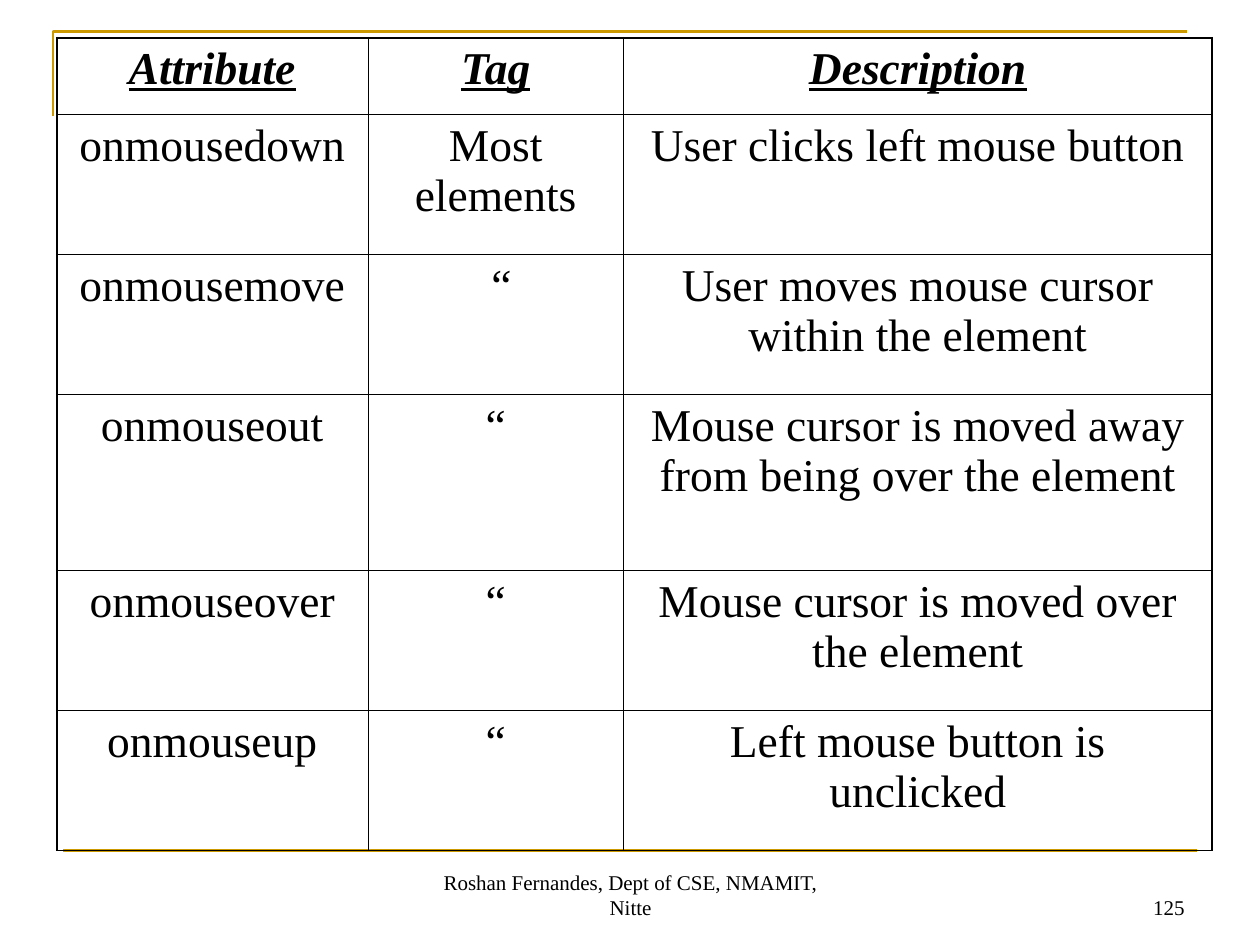
import lxml.etree
import pptx
import pptx.dml.color
import pptx.enum.shapes
import pptx.enum.text
import pptx.oxml.ns
import pptx.util

Inches = pptx.util.Inches
Pt = pptx.util.Pt
ALIGN = pptx.enum.text.PP_ALIGN
COLORS = {"ink": "000000", "accent": "CC9900"}
OUTER, INNER = 1.08, 0.45
EVENTS = [
    ("Attribute", "Tag", "Description"),
    ("onmousedown", "Most elements", "User clicks left mouse button"),
    ("onmousemove", " “", "User moves mouse cursor within the element"),
    ("onmouseout", "“", "Mouse cursor is moved away from being over the element"),
    ("onmouseover", "“", "Mouse cursor is moved over the element"),
    ("onmouseup", "“", "Left mouse button is unclicked"),
]


class SlideBuilder:
    """Hold the style and the current slide, and add its elements."""

    def __init__(self, slide, font="Times New Roman"):
        self.slide = slide
        self.font = font

    def color(self, name):
        return pptx.dml.color.RGBColor.from_string(COLORS[name])

    def add_text(self, paragraph, text, size, align, heading=False):
        paragraph.alignment = align
        run = paragraph.add_run()
        run.text = text
        run.font.name = self.font
        run.font.size = Pt(size)
        run.font.color.rgb = self.color("ink")
        run.font.bold = run.font.italic = run.font.underline = heading

    def stroke(self, line):
        line.color.rgb = self.color("accent")
        line.width = Pt(1.5)

    def corner(self, left, top, right, bottom):
        builder = self.slide.shapes.build_freeform(Inches(left), Inches(bottom))
        points = [(Inches(left), Inches(top)), (Inches(right), Inches(top))]
        builder.add_line_segments(points, close=False)
        bracket = builder.convert_to_shape()
        bracket.shadow.inherit = False
        bracket.fill.background()
        self.stroke(bracket.line)

    def rule(self, left, right, top):
        footer_rule = self.slide.shapes.add_connector(
            pptx.enum.shapes.MSO_CONNECTOR.STRAIGHT,
            Inches(left), Inches(top), Inches(right), Inches(top))
        self.stroke(footer_rule.line)
        lxml.etree.SubElement(
            footer_rule._element.spPr, pptx.oxml.ns.qn("a:effectLst"))

    def footer(self, text, left, width, align):
        box = self.slide.shapes.add_textbox(
            Inches(left), Inches(6.83), Inches(width), Inches(0.52))
        frame = box.text_frame
        frame.word_wrap = True
        frame.vertical_anchor = pptx.enum.text.MSO_ANCHOR.BOTTOM
        self.add_text(frame.paragraphs[0], text, 12, align)

    def borders(self, cell, widths):
        properties = cell._tc.get_or_add_tcPr()
        for position, (side, width) in enumerate(widths.items()):
            border = lxml.etree.Element(
                pptx.oxml.ns.qn(f"a:ln{side}"), w=str(int(Pt(width))))
            fill = lxml.etree.SubElement(border, pptx.oxml.ns.qn("a:solidFill"))
            lxml.etree.SubElement(
                fill, pptx.oxml.ns.qn("a:srgbClr"), val=COLORS["ink"])
            properties.insert(position, border)

    def table(self, rows, left, top, widths, heights):
        grid = self.slide.shapes.add_table(
            len(rows), len(widths), Inches(left), Inches(top),
            Inches(sum(widths)), Inches(sum(heights))).table
        grid.first_row = grid.horz_banding = False
        for column, width in zip(grid.columns, widths):
            column.width = Inches(width)
        last_row, last_column = len(rows) - 1, len(widths) - 1
        for r, (texts, height) in enumerate(zip(rows, heights)):
            grid.rows[r].height = Inches(height)
            for c, text in enumerate(texts):
                cell = grid.cell(r, c)
                cell.fill.background()
                paragraph = cell.text_frame.paragraphs[0]
                paragraph.space_before = Pt(6.5)
                self.add_text(paragraph, text, 26, ALIGN.CENTER, heading=r == 0)
                self.borders(cell, {
                    "L": OUTER if c == 0 else INNER,
                    "R": OUTER if c == last_column else INNER,
                    "T": OUTER if r == 0 else INNER,
                    "B": OUTER if r == last_row else INNER,
                })


def main():
    deck = pptx.Presentation()
    deck.slide_width, deck.slide_height = Inches(10), Inches(7.5)
    page = SlideBuilder(deck.slides.add_slide(deck.slide_layouts[6]))
    page.corner(0.42, 0.25, 9.42, 0.92)
    page.rule(0.5, 9.5, 6.75)
    page.footer("125", 7.17, 2.33, ALIGN.RIGHT)
    page.footer("Roshan Fernandes, Dept of CSE, NMAMIT, Nitte",
                3.42, 3.17, ALIGN.CENTER)
    page.table(EVENTS, 0.45, 0.3, [2.47, 2.03, 4.67],
               [0.61, 1.11, 1.11, 1.4, 1.11, 1.11])
    deck.save("out.pptx")


if __name__ == "__main__":
    main()
